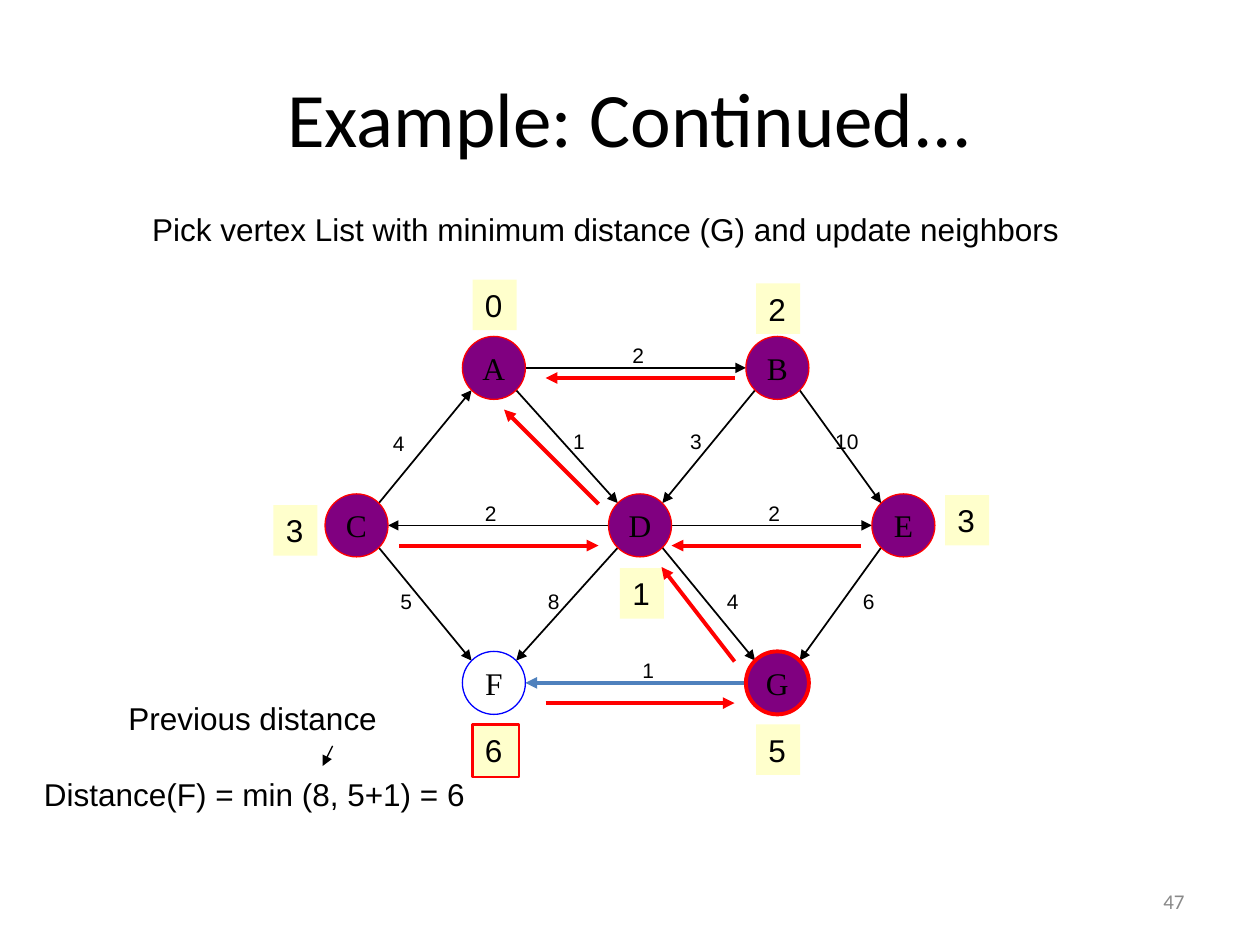
from math import sqrt
from typing import NamedTuple

from lxml import etree
from pptx import Presentation
from pptx.dml.color import RGBColor
from pptx.enum import shapes, text
from pptx.oxml.ns import qn
from pptx.util import Inches, Pt

COLORS = {
    "ink": "000000", "visited": "800080", "red": "FF0000", "open": "0000FF",
    "active": "4F81BD", "badge": "FFFFCC", "number": "898989",
}
RADIUS = 0.25


class Vertex(NamedTuple):
    x: float  # centre
    y: float
    distance: str
    badge_x: float  # top left of the distance badge
    badge_y: float
    visited: bool = True
    line_width: float = 0.75


class Edge(NamedTuple):
    start: str
    end: str
    weight: str
    label_x: float
    label_y: float
    color: str = "ink"
    width: float = 1


class Caption(NamedTuple):
    words: str
    x: float
    y: float
    width: float


VERTICES = {
    "A": Vertex(3.92, 2.92, "0", 3.75, 2.22),
    "B": Vertex(6.17, 2.92, "2", 6, 2.25),
    "C": Vertex(2.83, 4.17, "3", 2.17, 4.01),
    "D": Vertex(5.08, 4.17, "1", 4.92, 4.51),
    "E": Vertex(7.17, 4.17, "3", 7.5, 3.93),
    "F": Vertex(3.92, 5.42, "6", 3.75, 5.75, visited=False),
    "G": Vertex(6.17, 5.42, "5", 6, 5.75, line_width=2.25),
}
EDGES = [
    Edge("A", "B", "2", 4.92, 2.67),
    Edge("C", "A", "4", 3.02, 3.37),
    Edge("A", "D", "1", 4.45, 3.35),
    Edge("B", "D", "3", 5.38, 3.35),
    Edge("B", "E", "10", 6.53, 3.35),
    Edge("D", "C", "2", 3.75, 3.92),
    Edge("D", "E", "2", 6, 3.92),
    Edge("C", "F", "5", 3.08, 4.62),
    Edge("D", "F", "8", 4.25, 4.62),
    Edge("D", "G", "4", 5.67, 4.62),
    Edge("E", "G", "6", 6.75, 4.62),
    Edge("G", "F", "1", 5, 5.17, "active", 2.25),
]
# Arrows back to each vertex's predecessor: x1, y1, x2, y2
BACK_ARROWS = [
    (4.75, 4, 4, 3.25), (5.83, 3, 4.33, 3), (6.83, 4.33, 5.33, 4.33),
    (5.83, 5.25, 5.25, 4.5), (4.33, 5.58, 5.83, 5.58), (3.17, 4.33, 4.75, 4.33),
]
CAPTIONS = [
    Caption("Pick vertex List with minimum distance (G) and update neighbors", 1.11, 1.62, 7.44),
    Caption("Previous distance", 0.92, 5.5, 2.25),
    Caption("Distance(F) = min (8, 5+1) = 6", 0.25, 6.1, 3.92),
]


def rgb(name: str) -> RGBColor:
    return RGBColor.from_string(COLORS[name])


def write(shape, words: str, size: float, font: str = "Arial", color: str = "ink",
          align=text.PP_ALIGN.LEFT, anchor=text.MSO_ANCHOR.TOP, wrap: bool = False) -> None:
    frame = shape.text_frame
    frame.text = words
    frame.word_wrap = wrap
    frame.vertical_anchor = anchor
    paragraph = frame.paragraphs[0]
    paragraph.alignment = align
    run_font = paragraph.runs[0].font
    run_font.size, run_font.name = Pt(size), font
    run_font.color.rgb = rgb(color)


def add_text(slide, words: str, x: float, y: float, w: float, h: float, size: float, **style) -> None:
    box = slide.shapes.add_textbox(Inches(x), Inches(y), Inches(w), Inches(h))
    write(box, words, size, **style)


def add_arrow(slide, x1: float, y1: float, x2: float, y2: float, color: str, width: float) -> None:
    arrow = slide.shapes.add_connector(
        shapes.MSO_CONNECTOR.STRAIGHT, Inches(x1), Inches(y1), Inches(x2), Inches(y2))
    arrow.line.color.rgb = rgb(color)
    arrow.line.width = Pt(width)
    etree.SubElement(arrow.line._get_or_add_ln(), qn("a:tailEnd"), type="triangle")
    etree.SubElement(arrow._element.spPr, qn("a:effectLst"))


def add_panel(slide, kind, x: float, y: float, w: float, h: float,
              fill: str | None, line: str | None, line_width: float = 0.75):
    panel = slide.shapes.add_shape(kind, Inches(x), Inches(y), Inches(w), Inches(h))
    panel.shadow.inherit = False
    if fill:
        panel.fill.solid()
        panel.fill.fore_color.rgb = rgb(fill)
    else:
        panel.fill.background()
    if line:
        panel.line.color.rgb = rgb(line)
        panel.line.width = Pt(line_width)
    else:
        panel.line.fill.background()
    return panel


def add_edge(slide, edge: Edge) -> None:
    """Join two circles at their sides, or at their 45-degree points."""
    start, end = VERTICES[edge.start], VERTICES[edge.end]
    level = start.y == end.y
    reach = RADIUS if level else RADIUS / sqrt(2)
    dx = reach if end.x > start.x else -reach
    dy = 0 if level else reach if end.y > start.y else -reach
    add_arrow(slide, start.x + dx, start.y + dy, end.x - dx, end.y - dy, edge.color, edge.width)
    add_text(slide, edge.weight, edge.label_x, edge.label_y, 0.2 + 0.1 * len(edge.weight), 0.3,
             12, anchor=text.MSO_ANCHOR.MIDDLE)


def add_vertex(slide, name: str, vertex: Vertex) -> None:
    circle = add_panel(
        slide, shapes.MSO_SHAPE.OVAL, vertex.x - RADIUS, vertex.y - RADIUS, 2 * RADIUS, 2 * RADIUS,
        "visited" if vertex.visited else None, "red" if vertex.visited else "open",
        vertex.line_width)
    write(circle, name, 18, "Times New Roman",
          align=text.PP_ALIGN.CENTER, anchor=text.MSO_ANCHOR.MIDDLE)
    # The distance just updated is framed in red
    badge = add_panel(slide, shapes.MSO_SHAPE.RECTANGLE, vertex.badge_x, vertex.badge_y,
                      0.35 if vertex.visited else 0.37, 0.4 if vertex.visited else 0.42,
                      "badge", None if vertex.visited else "red", 1.25)
    write(badge, vertex.distance, 18)


def main() -> None:
    prs = Presentation()
    prs.slide_width, prs.slide_height = Inches(10), Inches(7.5)
    slide = prs.slides.add_slide(prs.slide_layouts[5])

    # Title and slide number
    title = slide.shapes.title
    title.left, title.top, title.width, title.height = map(Inches, (0.5, 0.3, 9, 1.25))
    write(title, "Example: Continued...", 44, "Calibri", align=text.PP_ALIGN.CENTER,
          anchor=text.MSO_ANCHOR.MIDDLE, wrap=True)
    add_text(slide, "47", 7.17, 6.95, 2.33, 0.4, 12, font="Calibri", color="number",
             align=text.PP_ALIGN.RIGHT, anchor=text.MSO_ANCHOR.MIDDLE, wrap=True)

    # Graph
    for edge in EDGES:
        add_edge(slide, edge)
    for name, vertex in VERTICES.items():
        add_vertex(slide, name, vertex)
    for ends in BACK_ARROWS:
        add_arrow(slide, *ends, "red", 2.25)

    # Explanations, with a pointer to the previous distance
    for caption in CAPTIONS:
        add_text(slide, caption.words, caption.x, caption.y, caption.width, 0.4, 18, wrap=True)
    add_arrow(slide, 2.64, 5.92, 2.56, 6.08, "ink", 0.75)

    prs.save("out.pptx")


if __name__ == "__main__":
    main()
